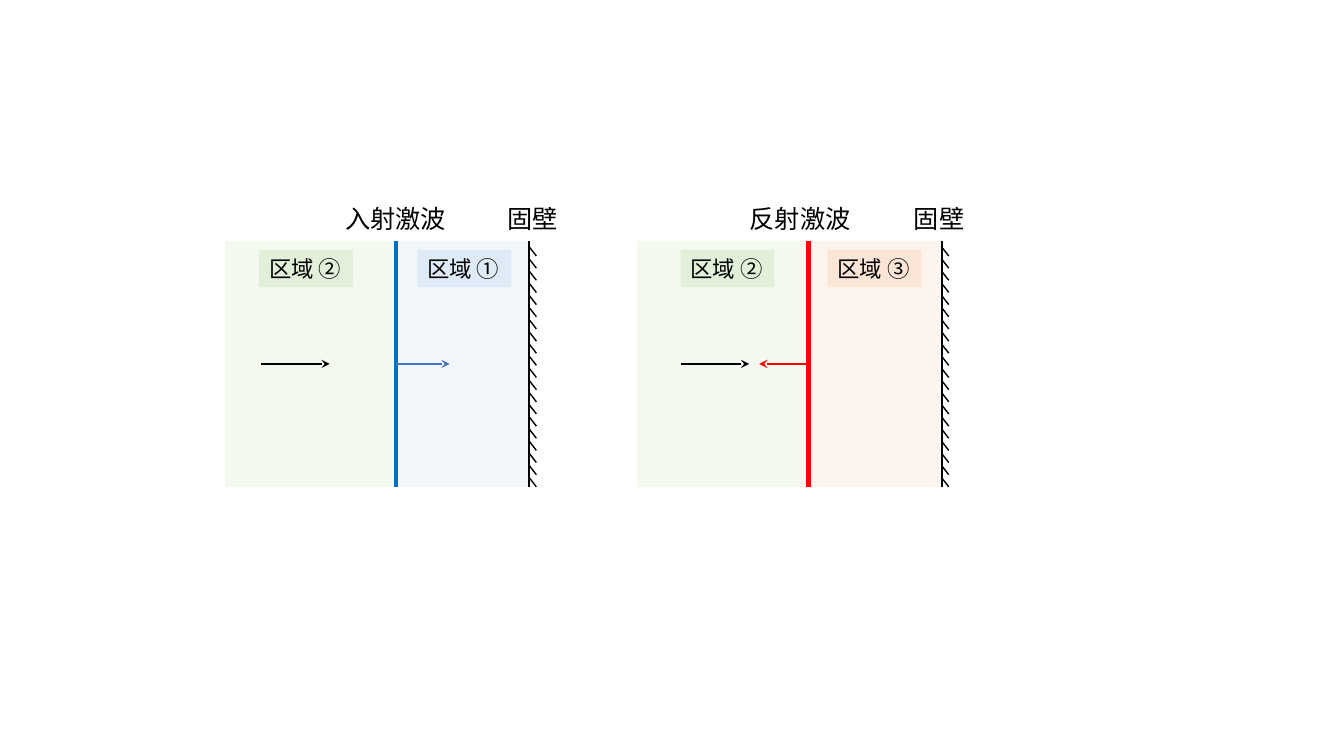
from lxml.etree import SubElement
from pptx import Presentation
from pptx.dml.color import RGBColor
from pptx.enum.shapes import MSO_CONNECTOR, MSO_SHAPE
from pptx.enum.text import MSO_ANCHOR, MSO_AUTO_SIZE, PP_ALIGN
from pptx.oxml.ns import qn
from pptx.util import Inches, Pt

BLACK = RGBColor(0x00, 0x00, 0x00)
RED = RGBColor(0xFF, 0x00, 0x00)
DEEP_BLUE = RGBColor(0x00, 0x70, 0xC0)
ARROW_BLUE = RGBColor(0x44, 0x72, 0xC4)
GREEN_TINT = RGBColor(0xE2, 0xF0, 0xD9)
BLUE_TINT = RGBColor(0xDE, 0xEB, 0xF7)
ORANGE_TINT = RGBColor(0xFB, 0xE5, 0xD6)

# Grid of 0.1 inch cells; panel columns are counted from the panel's left edge.
TOP, HEIGHT = 23.9, 24.4
MIDDLE = TOP + HEIGHT / 2
WAVE, WALL = 17, 30.2
HATCH_TOP, HATCH_BOTTOM, HATCH_COUNT = 24.5, 47.4, 20
HATCH_STEP = (HATCH_BOTTOM - HATCH_TOP) / (HATCH_COUNT - 1)


class ShockDiagram:
    cell = Inches(0.1)
    title_font, title_size = "Noto Sans CJK SC", Pt(18)
    label_font, label_size = "Arial", Pt(16)

    def __init__(self, slide):
        self.slide = slide

    def start_panel(self, column):
        """Open a group whose elements are placed relative to this column."""
        self.origin = column
        self.shapes = self.slide.shapes.add_group_shape().shapes

    def place(self, column, row):
        return round((self.origin + column) * self.cell), round(row * self.cell)

    def size(self, columns, rows):
        return round(columns * self.cell), round(rows * self.cell)

    def rectangle(self, column, row, columns, rows, color, opacity=None):
        shape = self.shapes.add_shape(
            MSO_SHAPE.RECTANGLE, *self.place(column, row), *self.size(columns, rows))
        shape.shadow.inherit = False
        shape.line.fill.background()
        shape.fill.solid()
        shape.fill.fore_color.rgb = color
        if opacity is not None:
            fill_color = shape._element.spPr.find(qn("a:solidFill"))[0]
            SubElement(fill_color, qn("a:alpha"), val=str(opacity * 1000))
        return shape

    def line(self, start, end, color=BLACK, width=1, arrow=False):
        connector = self.shapes.add_connector(
            MSO_CONNECTOR.STRAIGHT, *self.place(*start), *self.place(*end))
        connector.line.color.rgb = color
        connector.line.width = Pt(width)
        if arrow:
            SubElement(connector.get_or_add_ln(), qn("a:tailEnd"), type="stealth")
        SubElement(connector._element.spPr, qn("a:effectLst"))

    def set_text(self, shape, text, font, size, alignment):
        frame = shape.text_frame
        frame.word_wrap = False
        frame.auto_size = MSO_AUTO_SIZE.SHAPE_TO_FIT_TEXT
        paragraph = frame.paragraphs[0]
        paragraph.text = text
        paragraph.alignment = alignment
        paragraph.font.name = font
        paragraph.font.size = size
        paragraph.font.color.rgb = BLACK

    def title(self, column, text):
        box = self.shapes.add_textbox(*self.place(column, 19.7), *self.size(12.7, 4))
        self.set_text(box, text, self.title_font, self.title_size, PP_ALIGN.CENTER)
        box.text_frame.word_wrap = True

    def label(self, column, text, color):
        shape = self.rectangle(column, 24.8, 9.3, 3.7, color)
        self.set_text(shape, text, self.label_font, self.label_size, PP_ALIGN.LEFT)
        shape.text_frame.vertical_anchor = MSO_ANCHOR.MIDDLE

    def wall(self):
        self.line((WALL, TOP), (WALL, TOP + HEIGHT), width=1.5)
        for index in range(HATCH_COUNT):
            row = HATCH_TOP + index * HATCH_STEP
            self.line((WALL, row), (WALL + 0.7, row + 0.9))

    def arrow(self, column, columns, color=BLACK):
        self.line((column, MIDDLE), (column + columns, MIDDLE), color, arrow=True)

    def panel(self, column, wave, right_zone, left_label_column, flow_column,
              wall_title_column):
        """Draw one state; wave and right_zone hold text, column and colours."""
        wave_text, wave_title_column, wave_color, arrow_color, arrow_length = wave
        zone_text, zone_label_column, zone_color = right_zone
        self.start_panel(column)
        self.rectangle(17.2, TOP, 12.9, HEIGHT, zone_color, opacity=40)
        self.rectangle(0, TOP, 16.7, HEIGHT, GREEN_TINT, opacity=40)
        self.line((WAVE, TOP), (WAVE, TOP + HEIGHT), wave_color, width=3)
        self.wall()
        self.arrow(WAVE, arrow_length, arrow_color)
        self.title(wave_title_column, wave_text)
        self.title(wall_title_column, "固壁")
        self.label(left_label_column, "区域 ②", GREEN_TINT)
        self.label(zone_label_column, zone_text, zone_color)
        self.arrow(flow_column, 6.8)


def main():
    presentation = Presentation()
    presentation.slide_width = Inches(13.33)
    presentation.slide_height = Inches(7.5)
    blank_layout = presentation.slide_layouts[6]
    diagram = ShockDiagram(presentation.slides.add_slide(blank_layout))
    diagram.panel(
        63.2,
        wave=("反射激波", 9.8, RED, RED, -4.9),
        right_zone=("区域 ③", 18.9, ORANGE_TINT),
        left_label_column=4.3,
        flow_column=4.3,
        wall_title_column=23.6,
    )
    diagram.panel(
        22.3,
        wave=("入射激波", 10.6, DEEP_BLUE, ARROW_BLUE, 5.3),
        right_zone=("区域 ①", 19.1, BLUE_TINT),
        left_label_column=3.4,
        flow_column=3.6,
        wall_title_column=24.2,
    )
    presentation.save("out.pptx")


if __name__ == "__main__":
    main()
